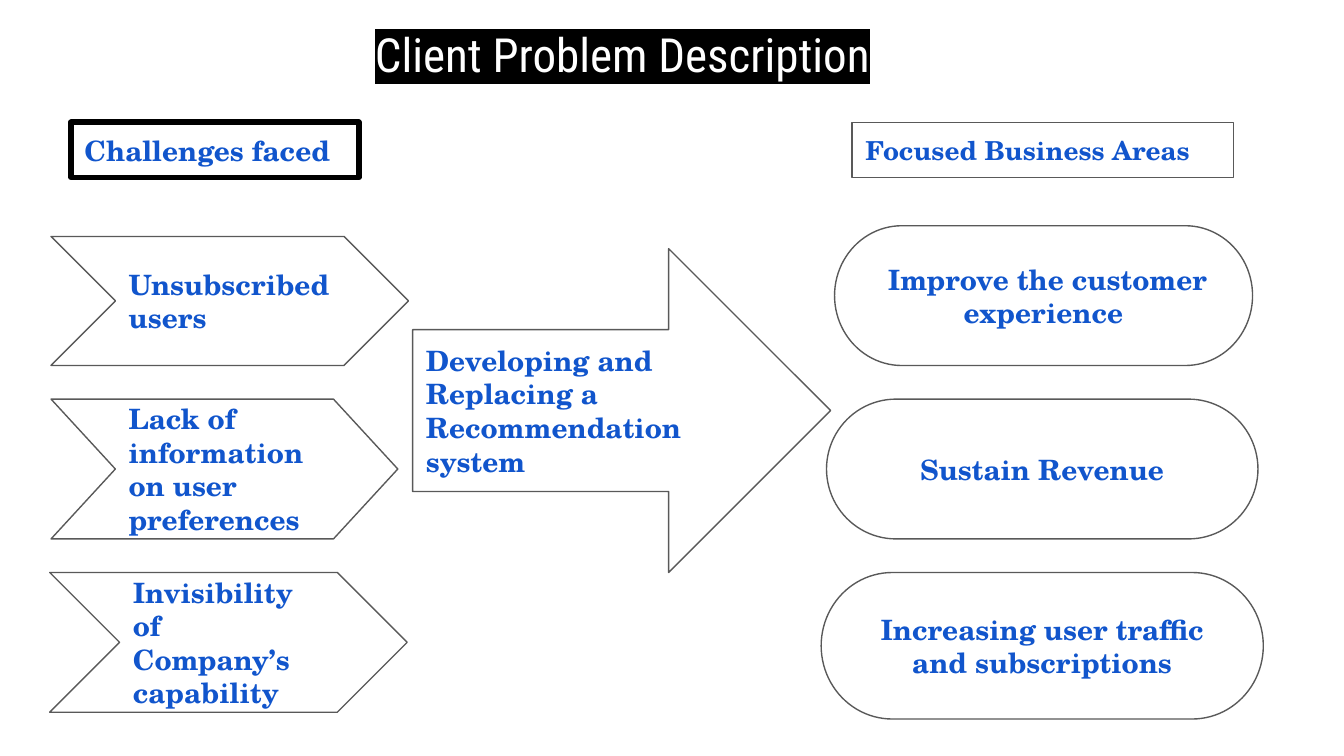
import pptx
import pptx.util
import pptx.dml.color
import pptx.enum.shapes
import pptx.enum.text
from lxml import etree

Inches = pptx.util.Inches
Pt = pptx.util.Pt
KIND = pptx.enum.shapes.MSO_SHAPE
ALIGN = pptx.enum.text.PP_ALIGN
ANCHOR = pptx.enum.text.MSO_ANCHOR
FIT = pptx.enum.text.MSO_AUTO_SIZE

COLORS = {"white": "FFFFFF", "black": "000000", "gray": "595959", "blue": "1155CC"}


def color(name):
    return pptx.dml.color.RGBColor.from_string(COLORS[name])


def write(shape, text, size=15, font="TeX Gyre Schola", ink="blue", bold=True,
          align=ALIGN.LEFT, anchor=ANCHOR.MIDDLE):
    """Fill a shape with one formatted paragraph and return that paragraph."""
    frame = shape.text_frame
    frame.word_wrap = True
    frame.auto_size = FIT.NONE
    frame.vertical_anchor = anchor
    frame.margin_left = frame.margin_right = Inches(0.1)
    frame.margin_top = frame.margin_bottom = Inches(0.1)
    para = frame.paragraphs[0]
    para.alignment = align
    run = para.add_run()
    run.text = text
    run.font.size = Pt(size)
    run.font.name = font
    run.font.bold = bold
    run.font.color.rgb = color(ink)
    return para


# A 16:9 slide
deck = pptx.Presentation()
deck.slide_width = Inches(10)
deck.slide_height = Inches(10) * 9 // 16
slide = deck.slides.add_slide(deck.slide_layouts[5])

# Title, indented and highlighted
title = slide.shapes.title
title.left, title.top = Inches(0.19), Inches(0.09)
title.width, title.height = Inches(9.32), Inches(0.63)
para = write(title, "Client Problem Description", size=25.2, font="Roboto Condensed",
             ink="white", bold=False, anchor=ANCHOR.TOP)
props = para._p.get_or_add_pPr()
props.set("marL", str(Inches(2)))
props.set("indent", str(Inches(0.5)))
space = "{http://schemas.openxmlformats.org/drawingml/2006/main}"
mark = etree.Element(space + "highlight")
etree.SubElement(mark, space + "srgbClr", val=COLORS["black"])
para.runs[0].font._element.find(space + "latin").addprevious(mark)

# Kind, left, top, width, height, text, adjustments
PILL, ARROW, CHEVRON, BOX = (KIND.FLOWCHART_TERMINATOR, KIND.RIGHT_ARROW,
                             KIND.CHEVRON, KIND.RECTANGLE)
parts = [
    (PILL, 6.21, 1.68, 3.11, 1.04, " Improve the customer experience", []),
    (ARROW, 3.07, 1.85, 3.11, 2.41,
     "Developing and Replacing a Recommendation system", [0.5, 0.5]),
    (PILL, 6.15, 2.97, 3.21, 1.04, "Sustain Revenue", []),
    (PILL, 6.11, 4.26, 3.29, 1.09, "Increasing user traffic and subscriptions", []),
    (CHEVRON, 0.38, 1.76, 2.66, 0.96, "Unsubscribed users", [0.5]),
    (CHEVRON, 0.38, 2.97, 2.58, 1.04, "Lack of information on user preferences", [0.46]),
    (CHEVRON, 0.37, 4.26, 2.66, 1.04, "Invisibility of Company’s capability", [0.5]),
    (BOX, 0.53, 0.91, 2.14, 0.41, "Challenges faced", []),
    (BOX, 6.34, 0.91, 2.84, 0.41, "Focused Business Areas", []),
]
for kind, left, top, width, height, text, bends in parts:
    shape = slide.shapes.add_shape(kind, Inches(left), Inches(top),
                                   Inches(width), Inches(height))
    for spot, bend in enumerate(bends):
        shape.adjustments[spot] = bend
    heavy = text == "Challenges faced"
    shape.shadow.inherit = False
    shape.fill.solid()
    shape.fill.fore_color.rgb = color("white")
    shape.line.color.rgb = color("black" if heavy else "gray")
    shape.line.width = Pt(3 if heavy else 0.75)
    write(shape, text, size=14 if text == "Focused Business Areas" else 15,
          align=ALIGN.CENTER if kind == PILL else ALIGN.LEFT)

deck.save("out.pptx")
